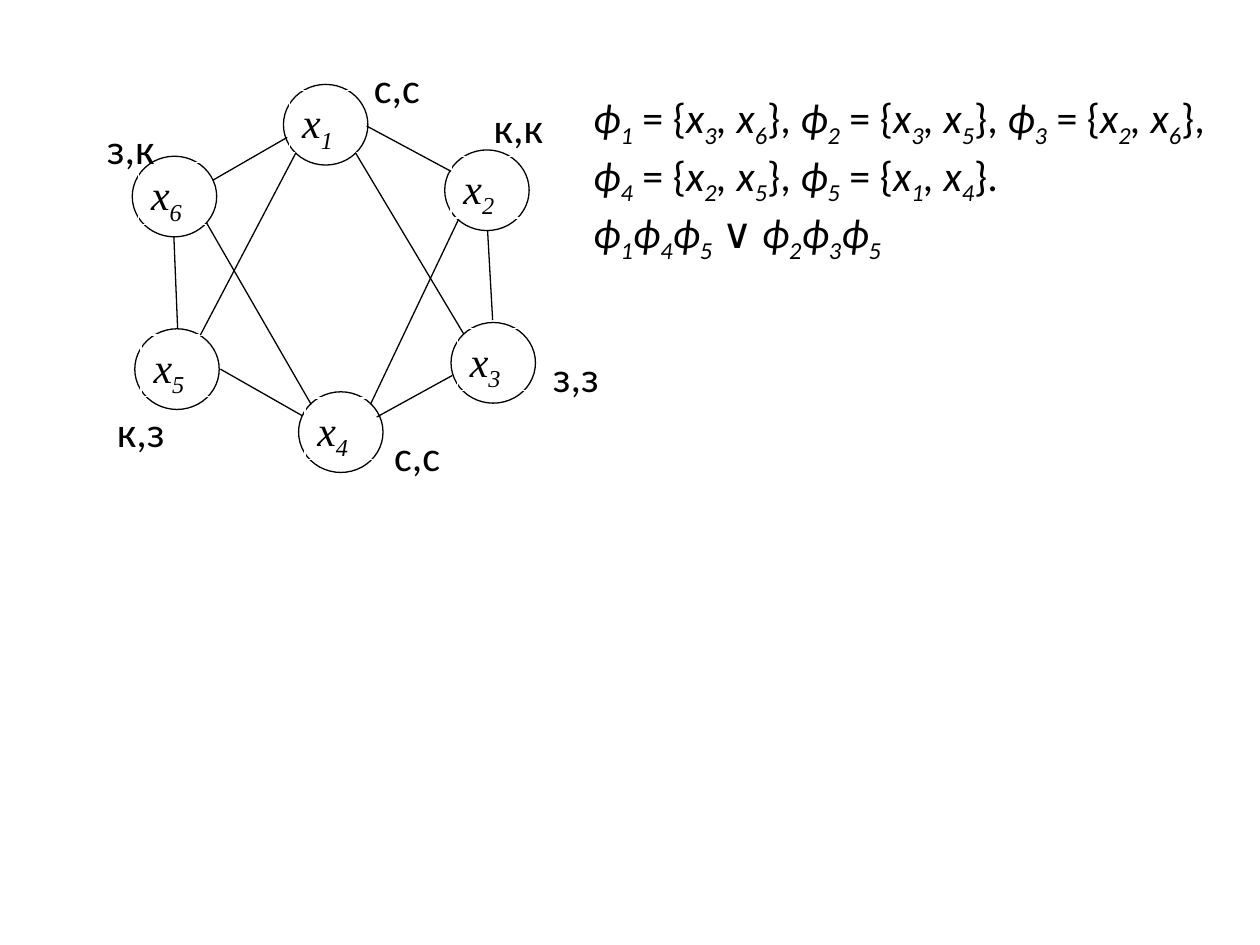
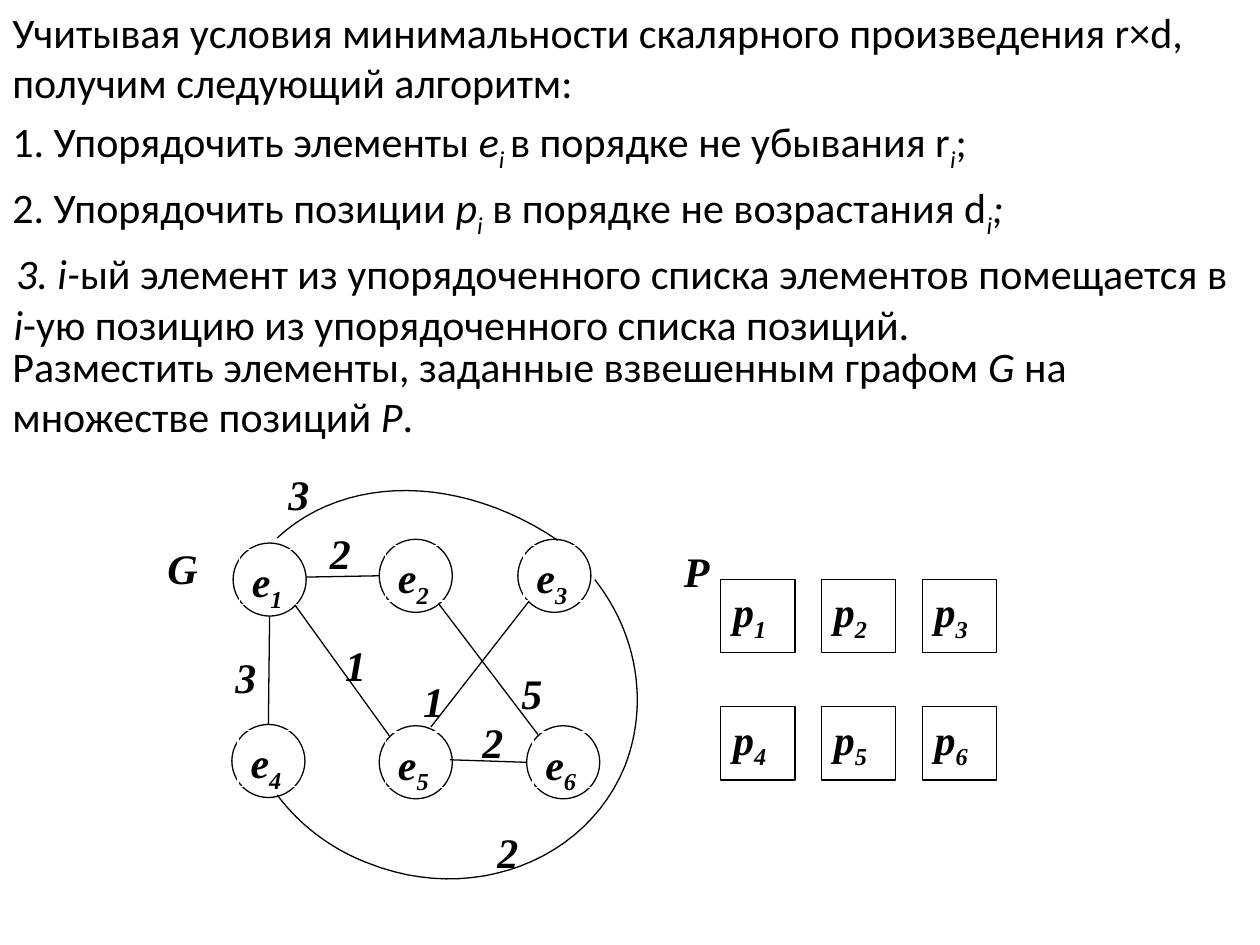
import dataclasses

import pptx
import pptx.dml.color
import pptx.enum.shapes
import pptx.enum.text
import pptx.oxml
import pptx.util

Inches = pptx.util.Inches
Pt = pptx.util.Pt
SHAPE = pptx.enum.shapes.MSO_SHAPE


@dataclasses.dataclass(frozen=True)
class Theme:
    ink: pptx.dml.color.RGBColor = pptx.dml.color.RGBColor(0, 0, 0)
    paper: pptx.dml.color.RGBColor = pptx.dml.color.RGBColor(255, 255, 255)
    body_font: str = "Calibri"
    math_font: str = "Times New Roman"
    size: pptx.util.Length = Pt(24)
    stroke: pptx.util.Length = Pt(0.75)
    subscript: str = "-25000"


theme = Theme()


def write(shape, lines, font, bold=False):
    """Slashes toggle italics; an underscore lowers the next character."""
    frame = shape.text_frame
    frame.word_wrap = True
    frame.vertical_anchor = pptx.enum.text.MSO_ANCHOR.TOP
    for number, line in enumerate(lines):
        para = frame.add_paragraph() if number else frame.paragraphs[0]
        para.alignment = pptx.enum.text.PP_ALIGN.LEFT
        para.font.name = font
        para.font.size = theme.size
        para.font.bold = bold
        para.font.color.rgb = theme.ink
        for turn, piece in enumerate(line.split("/")):
            for order, part in enumerate(piece.split("_")):
                lowered, normal = (part[:1], part[1:]) if order else ("", part)
                for text, is_lowered in ((lowered, True), (normal, False)):
                    if text:
                        span = para.add_run()
                        span.text = text
                        span.font.italic = turn % 2 == 1
                        if is_lowered:
                            span.font._element.set("baseline", theme.subscript)


def outline(shape, color, filled):
    shape.shadow.inherit = False
    shape.line.color.rgb = color
    shape.line.width = theme.stroke
    if filled:
        shape.fill.solid()
        shape.fill.fore_color.rgb = theme.paper
    else:
        shape.fill.background()


deck = pptx.Presentation()
deck.slide_width = Inches(10)
deck.slide_height = Inches(7.5)
coloring_page, placement_page = [
    deck.slides.add_slide(deck.slide_layouts[6]) for _ in range(2)
]

coloring_nodes = {
    "/x_5/": (1.07, 2.61),
    "/x_1/": (2.25, 0.67),
    "/x_6/": (1.05, 1.24),
    "/x_3/": (3.58, 2.56),
    "/x_4/": (2.37, 3.11),
    "/x_2/": (3.53, 1.19),
}
coloring_edges = [
    (2.99, 3.31, 3.59, 2.98),
    (3.91, 2.54, 3.87, 1.83),
    (3.68, 2.65, 2.82, 1.21),
    (1.69, 1.43, 2.28, 1.09),
    (2.91, 1.00, 3.58, 1.36),
    (2.47, 3.21, 1.64, 1.77),
    (1.75, 2.93, 2.40, 3.30),
    (1.41, 2.61, 1.38, 1.88),
    (2.94, 3.21, 3.64, 1.74),
    (1.59, 2.66, 2.35, 1.21),
]
weighted_nodes = {
    "/e_1/": (1.85, 4.31),
    "/e_2/": (3.01, 4.28),
    "/e_3/": (4.11, 4.28),
    "/e_4/": (1.84, 5.75),
    "/e_5/": (3.01, 5.76),
    "/e_6/": (4.18, 5.76),
}
weighted_edges = [
    (4.18, 6.05, 3.57, 6.03),
    (3.09, 5.84, 2.34, 4.80),
    (3.01, 4.57, 2.43, 4.58),
    (3.42, 5.77, 4.20, 4.77),
    (2.14, 4.89, 2.13, 5.75),
    (4.27, 5.83, 3.48, 4.79),
]
graphs = [
    (coloring_page, coloring_nodes, coloring_edges, (0.67, 0.64), (0.65, 0.49), False),
    (placement_page, weighted_nodes, weighted_edges, (0.58, 0.58), (0.57, 0.44), True),
]
for page, nodes, edges, node_size, label_size, bold in graphs:
    for name, (left, top) in nodes.items():
        node = page.shapes.add_shape(
            SHAPE.OVAL, Inches(left), Inches(top), *map(Inches, node_size)
        )
        outline(node, theme.ink, filled=True)
        label = page.shapes.add_textbox(
            Inches(left + 0.05), Inches(top + 0.05), *map(Inches, label_size)
        )
        outline(label, theme.paper, filled=False)
        write(label, [name], theme.math_font, bold)
    for ends in edges:
        edge = page.shapes.add_connector(
            pptx.enum.shapes.MSO_CONNECTOR.STRAIGHT, *map(Inches, ends)
        )
        edge.line.color.rgb = theme.ink
        edge.line.width = theme.stroke
        edge._element.spPr.append(pptx.oxml.parse_xml(
            '<a:effectLst xmlns:a="http://schemas.openxmlformats.org/drawingml/2006/main"/>'
        ))

formulas = coloring_page.shapes.add_textbox(
    Inches(4.61), Inches(0.68), Inches(5.39), Inches(1.31)
)
write(formulas, [
    "/ϕ_1/ = {/x_3, x_6/}, /ϕ_2/ = {/x_3, x_5/}, /ϕ_3/ = {/x_2, x_6/}, "
    "/ϕ_4/ = {/x_2, x_5/}, /ϕ_5/ = {/x_1, x_4/}.",
    "/ϕ_1ϕ_4ϕ_5 /∨ /ϕ_2ϕ_3ϕ_5/",
], theme.body_font)

node_colors = [
    ("с,с", 2.87, 0.44),
    ("с,с", 3.03, 3.36),
    ("к,к", 3.82, 0.76),
    ("к,з", 0.83, 3.17),
    ("з,з", 4.29, 2.73),
    ("з,к", 0.75, 0.92),
]
for text, left, top in node_colors:
    box = coloring_page.shapes.add_textbox(
        Inches(left), Inches(top), Inches(0.8), Inches(0.5)
    )
    write(box, [text], theme.body_font)

algorithm = placement_page.shapes.add_textbox(0, 0, Inches(10), Inches(2.79))
write(algorithm, [
    "Учитывая условия минимальности скалярного произведения r×d, "
    "получим следующий алгоритм:",
    "1. Упорядочить элементы /e_i_ /в порядке не убывания r/_i/;",
    "2. Упорядочить позиции /p_i/ в порядке не возрастания d/_i;/",
    "/3. i-/ый элемент из упорядоченного списка элементов помещается в "
    "/i/-ую позицию из упорядоченного списка позиций.",
], theme.body_font)
indents = [(0, 0), (0.38, -0.38), (0.38, -0.38), (0.01, 0.02)]
for para, (margin, first_line) in zip(algorithm.text_frame.paragraphs, indents):
    para.space_before = Pt(5)
    properties = para._p.get_or_add_pPr()
    properties.set("marL", str(Inches(margin)))
    properties.set("indent", str(Inches(first_line)))

task = placement_page.shapes.add_textbox(0, Inches(2.65), Inches(10), Inches(0.91))
write(task, [
    "Разместить элементы, заданные взвешенным графом /G /на множестве позиций /Р/."
], theme.body_font)

arcs = [
    [(4.72, 4.6), (5.06, 5.03), (5.15, 5.59), (4.96, 6.08), (4.65, 6.84),
     (3.74, 7.18), (2.92, 6.85), (2.63, 6.74), (2.38, 6.55), (2.2, 6.31)],
    [(4.43, 4.29), (3.66, 3.77), (2.75, 3.76), (2.2, 4.27)],
]
steps = 24
for controls in arcs:
    points = [tuple(map(Inches, controls[0]))]
    for first in range(0, len(controls) - 1, 3):
        curve = controls[first:first + 4]
        for step in range(1, steps + 1):
            t = step / steps
            weights = ((1 - t) ** 3, 3 * t * (1 - t) ** 2, 3 * t * t * (1 - t), t ** 3)
            points.append(tuple(
                Inches(sum(w * point[axis] for w, point in zip(weights, curve)))
                for axis in (0, 1)
            ))
    builder = placement_page.shapes.build_freeform(*points[0], scale=1.0)
    builder.add_line_segments(points[1:], close=False)
    outline(builder.convert_to_shape(), theme.ink, filled=False)

for index in range(6):
    row, column = divmod(index, 3)
    position = placement_page.shapes.add_shape(
        SHAPE.RECTANGLE, Inches(5.72 + 0.8 * column), Inches(4.6 + 1.01 * row),
        Inches(0.59), Inches(0.58),
    )
    outline(position, theme.ink, filled=True)
    write(position, [f"/р_{index + 1}/"], theme.math_font, bold=True)

captions = [
    ("G", 1.23, 4.26),
    ("Р", 5.33, 4.28),
    ("1", 3.26, 5.31),
    ("1", 2.64, 5.03),
    ("2", 3.85, 6.51),
    ("3", 2.19, 3.67),
    ("5", 4.04, 5.25),
    ("3", 1.77, 5.12),
    ("2", 2.52, 4.14),
    ("2", 3.73, 5.64),
]
for text, left, top in captions:
    box = placement_page.shapes.add_textbox(
        Inches(left), Inches(top), Inches(0.56), Inches(0.53)
    )
    write(box, [f"/{text}/"], theme.math_font, bold=True)

deck.save("out.pptx")
